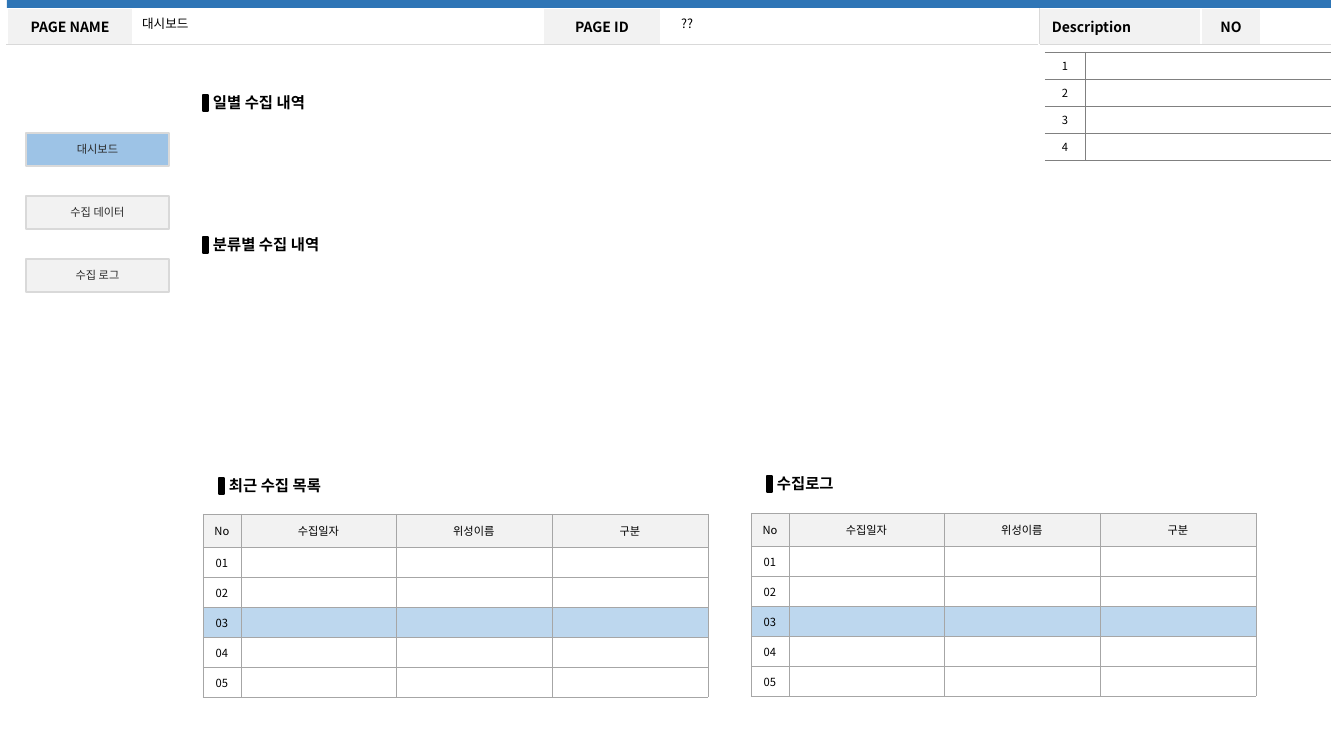
from dataclasses import dataclass
from typing import Optional

from lxml import etree
from pptx import Presentation
from pptx.dml.color import RGBColor
from pptx.enum.shapes import MSO_SHAPE
from pptx.enum.text import MSO_ANCHOR, MSO_AUTO_SIZE, PP_ALIGN
from pptx.oxml.ns import qn
from pptx.util import Pt

RECT, ROUND = MSO_SHAPE.RECTANGLE, MSO_SHAPE.ROUNDED_RECTANGLE
MIDDLE = MSO_ANCHOR.MIDDLE
LEFT, CENTER = PP_ALIGN.LEFT, PP_ALIGN.CENTER
FIXED, GROW = MSO_AUTO_SIZE.NONE, MSO_AUTO_SIZE.SHAPE_TO_FIT_TEXT
UNIT = 914400 / 100.8


@dataclass(frozen=True)
class Theme:
    """Font, colours and type sizes."""
    font: str = "Noto Sans CJK KR"
    black: str = "000000"
    label: str = "292929"
    white: str = "FFFFFF"
    pale: str = "F2F2F2"
    rule: str = "D9D9D9"
    grid: str = "A6A6A6"
    dark: str = "808080"
    bar: str = "2E75B6"
    active: str = "9DC3E6"
    pick: str = "BDD7EE"
    head: int = 11
    page: int = 10
    value: int = 9
    small: int = 8


@dataclass(frozen=True)
class Cell:
    """One table cell; edges maps L, R, T, B to a colour."""
    edges: dict
    text: str = ""
    fill: Optional[str] = None
    align: PP_ALIGN = CENTER


@dataclass(frozen=True)
class Grid:
    """A table with the look its cells share."""
    left: int
    top: int
    cols: list
    rows: list
    cells: list
    inset: tuple = (10, 5, 10, 5)
    size: int = 8
    bold: bool = False
    lead: Optional[int] = None


@dataclass(frozen=True)
class Head:
    """A section heading."""
    left: int
    top: int
    width: int
    text: str


@dataclass(frozen=True)
class Button:
    """A menu button."""
    text: str
    fill: str


T = Theme()


def px(*nums):
    """Turn pixels into EMU."""
    return [round(n * UNIT) for n in nums]


def rgb(code: str) -> RGBColor:
    """Read a hex colour."""
    return RGBColor.from_string(code)


def write(para, text: str, size: int, color: str = T.black, bold: bool = False):
    """Add one formatted run to a paragraph."""
    run = para.add_run()
    run.text = text
    font = run.font
    font.size, font.bold, font.name = Pt(size), bold, T.font
    font.color.rgb = rgb(color)
    etree.SubElement(run._r.get_or_add_rPr(), qn("a:ea"), typeface=T.font)


def pad(frame, inset: tuple):
    """Set the margins of a text frame or a cell."""
    (frame.margin_left, frame.margin_top,
     frame.margin_right, frame.margin_bottom) = px(*inset)


def edge(cell, edges: dict):
    """Draw the four borders of a cell."""
    props = cell._tc.get_or_add_tcPr()
    for side in "LRTB":
        color = edges.get(side)
        width = 12700 if color == T.white else 3175
        line = etree.SubElement(props, qn(f"a:ln{side}"), w=str(width))
        if color:
            fill = etree.SubElement(line, qn("a:solidFill"))
            etree.SubElement(fill, qn("a:srgbClr"), val=color)
        else:
            etree.SubElement(line, qn("a:noFill"))


def table(shapes, grid: Grid):
    """Draw a grid and return its table."""
    box = px(grid.left, grid.top, sum(grid.cols), sum(grid.rows))
    tab = shapes.add_table(len(grid.rows), len(grid.cols), *box).table
    tab.first_row = tab.horz_banding = False
    for col, width in zip(tab.columns, px(*grid.cols)):
        col.width = width
    for row, height in zip(tab.rows, px(*grid.rows)):
        row.height = height
    for row, line in zip(tab.rows, grid.cells):
        for cell, item in zip(row.cells, line):
            edge(cell, item.edges)
            if item.fill:
                cell.fill.solid()
                cell.fill.fore_color.rgb = rgb(item.fill)
            else:
                cell.fill.background()
            cell.vertical_anchor = MIDDLE
            pad(cell, grid.inset)
            para = cell.text_frame.paragraphs[0]
            para.alignment = item.align
            if grid.lead:
                para.line_spacing = Pt(grid.lead)
            if item.text:
                write(para, item.text, grid.size, bold=grid.bold)
            else:
                etree.SubElement(para._p, qn("a:endParaRPr"), sz=str(grid.size * 100))
    return tab


def block(shapes, kind, box: tuple, fill: str, line: Optional[str] = None):
    """Draw a filled shape, outlined if a line colour is given."""
    shape = shapes.add_shape(kind, *px(*box))
    shape.shadow.inherit = False
    shape.fill.solid()
    shape.fill.fore_color.rgb = rgb(fill)
    if line:
        shape.line.color.rgb = rgb(line)
        shape.line.width = Pt(1)
    else:
        shape.line.fill.background()
    return shape


def frame(shapes):
    """Draw the page frame with its header row."""
    names = ["PAGE NAME", "", "PAGE ID", "", "Description", "NO", ""]
    top, body = [], []
    for i, name in enumerate(names):
        sides = {"L": T.rule if i == 4 else T.white, "R": T.rule if i == 3 else T.white}
        top.append(Cell({**sides, "T": T.white, "B": T.rule}, name,
                        T.pale if name else None, LEFT if i == 4 else CENTER))
        body.append(Cell({**sides, "T": T.rule, "B": T.white}))
    tab = table(shapes, Grid(7, 8, [126, 410, 118, 378, 162, 60, 70], [36, 705],
                             [top, body], (13, 7, 13, 7), T.page, True))
    for first, last in ((0, 3), (4, 6)):
        tab.cell(1, first).merge(tab.cell(1, last))
    block(shapes, RECT, (7, 0, 1324, 8), T.bar)


def field(slide, idx: int, box: tuple, text: str):
    """Fill a body placeholder with a header value."""
    hold = next(p for p in slide.placeholders if p.placeholder_format.idx == idx)
    hold.left, hold.top, hold.width, hold.height = px(*box)
    slide.shapes._spTree.append(hold._element)
    body = hold.text_frame
    body.word_wrap, body.auto_size, body.vertical_anchor = True, FIXED, MIDDLE
    para = body.paragraphs[0]
    para.line_spacing, para.space_before = 0.9, Pt(10)
    write(para, text, T.value)


def notes(shapes):
    """Draw the numbered description list."""
    flat = {"T": T.dark, "B": T.dark}
    cells = [[Cell({**flat, "R": T.dark}, str(n)), Cell({**flat, "L": T.dark})]
             for n in range(1, 5)]
    table(shapes, Grid(1045, 52, [40, 246], [27] * 4, cells, lead=12))


def menu(shapes, items: list):
    """Stack the menu buttons."""
    for i, item in enumerate(items):
        shape = block(shapes, ROUND, (26, 133 + 63 * i, 143, 33), item.fill, T.rule)
        shape.adjustments[0] = 0
        body = shape.text_frame
        body.word_wrap, body.vertical_anchor = True, MIDDLE
        pad(body, (4, 4, 4, 4))
        para = body.paragraphs[0]
        para.alignment = CENTER
        write(para, item.text, T.small, T.label)


def data(shapes, left: int, top: int):
    """Draw a five-row data table with row three picked."""
    box = dict.fromkeys("LRTB", T.grid)
    cells = [[Cell(box, name, T.pale) for name in ("No", "수집일자", "위성이름", "구분")]]
    for n in range(1, 6):
        fill = T.pick if n == 3 else T.white
        cells.append([Cell(box, name, fill) for name in (f"{n:02}", "", "", "")])
    table(shapes, Grid(left, top, [38, 155, 156, 156], [33] + [30] * 5, cells, (1, 1, 1, 0)))


def title(shapes, head: Head):
    """Draw a heading grouped with its marker."""
    group = shapes.add_group_shape().shapes
    body = group.add_textbox(*px(head.left, head.top, head.width, 29)).text_frame
    body.word_wrap, body.auto_size = False, GROW
    write(body.paragraphs[0], head.text, T.head, bold=True)
    block(group, RECT, (head.left, head.top + 7, 5, 16), T.black, T.black)


def main():
    """Build and save the slide."""
    deck = Presentation()
    deck.slide_width, deck.slide_height = px(1344, 756)
    slide = deck.slides.add_slide(deck.slide_layouts.get_by_name("Comparison"))
    shapes = slide.shapes
    for hold in list(slide.placeholders):
        if hold.placeholder_format.idx not in (1, 3):
            shapes._spTree.remove(hold._element)
    frame(shapes)
    field(slide, 1, (132, 12, 405, 24), "대시보드")
    field(slide, 3, (671, 12, 367, 24), "??")
    notes(shapes)
    menu(shapes, [Button("대시보드", T.active), Button("수집 데이터", T.pale),
                  Button("수집 로그", T.pale)])
    data(shapes, 203, 514)
    data(shapes, 751, 513)
    for head in (Head(219, 471, 125, "최근 수집 목록"), Head(767, 469, 83, "수집로그"),
                 Head(203, 88, 125, "일별 수집 내역"), Head(203, 230, 140, "분류별 수집 내역")):
        title(shapes, head)
    deck.save("out.pptx")


main()
